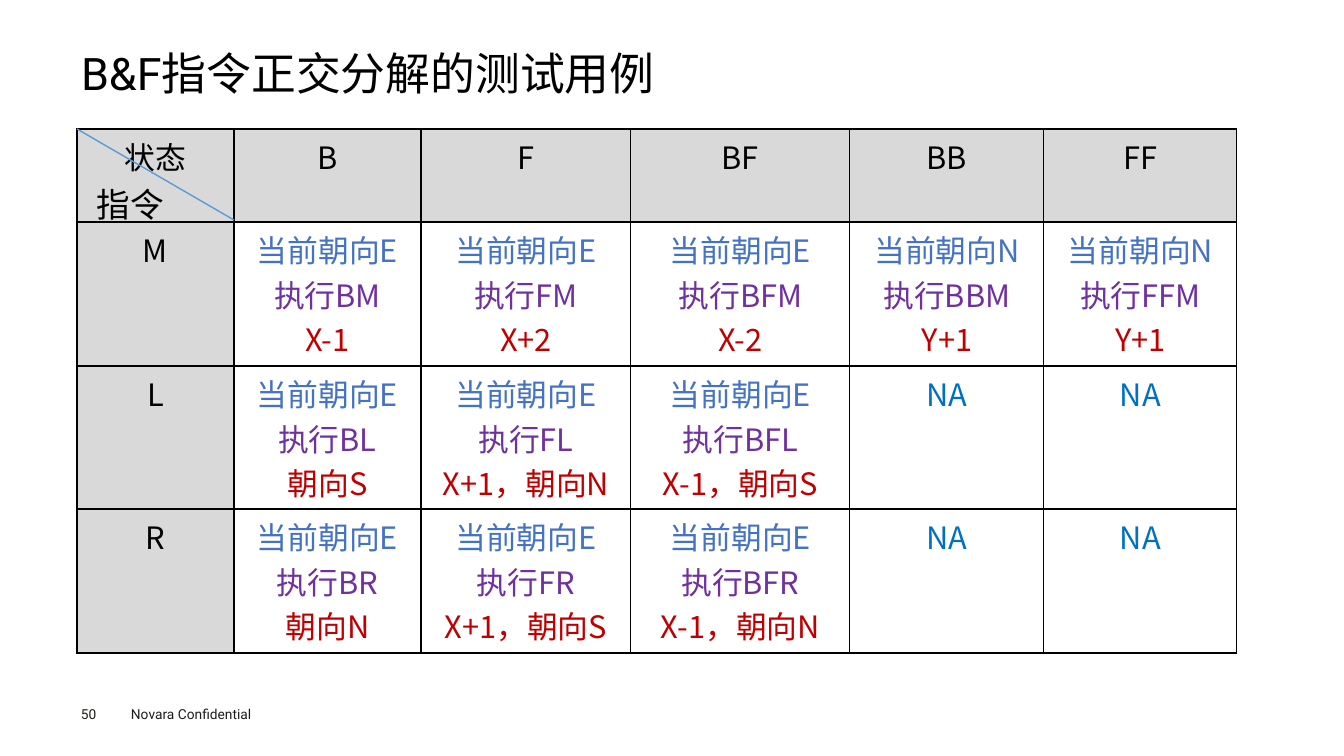
"""Builds the slide with the orthogonal B & F command test case table."""
from lxml.etree import SubElement
from pptx import Presentation
from pptx.dml.color import RGBColor
from pptx.enum.shapes import MSO_CONNECTOR as CONN
from pptx.enum.text import MSO_ANCHOR as ANCHOR, PP_ALIGN as ALIGN
from pptx.oxml import parse_xml
from pptx.oxml.ns import nsdecls, qn
from pptx.util import Emu, Pt

TITLE = "B&F指令正交分解的测试用例"
CORNER = "指令"
HEADERS = ["状态", "B", "F", "BF", "BB", "FF"]
FACINGS = ["E", "E", "E", "N", "N"]
RESULTS = {
    "M": ["X-1", "X+2", "X-2", "Y+1", "Y+1"],
    "L": ["朝向S", "X+1，朝向N", "X-1，朝向S", None, None],
    "R": ["朝向N", "X+1，朝向S", "X-1，朝向N", None, None],
}
COLORS = {
    "black": "000000", "footer": "1D1D1B", "head": "D9D9D9", "line": "5B9BD5",
    "facing": "4472C4", "action": "7030A0", "result": "C00000", "na": "0070C0",
}
SANS, LATIN = "Noto Sans CJK SC", "Roboto"
PX = 9071
TABLE_X, TABLE_Y = 77, 129
COLS = [157, 187, 210, 219, 194, 193]
ROWS = [93, 144, 143, 144]


def px(*lengths):
    return [Emu(n * PX) for n in lengths]


def rgb(name):
    return RGBColor.from_string(COLORS[name])


def style(p, size, color, font, align=ALIGN.LEFT):
    p.alignment = align
    p.font.size = Pt(size)
    p.font.name = font
    p.font.color.rgb = rgb(color)
    SubElement(p.font._rPr, qn("a:ea")).set("typeface", SANS)


def add_text(slide, box, text, size, color, font, inset=True, anchor=ANCHOR.TOP):
    tf = slide.shapes.add_textbox(*px(*box)).text_frame
    tf.word_wrap = True
    tf.vertical_anchor = anchor
    if not inset:
        tf.margin_left = tf.margin_right = tf.margin_top = tf.margin_bottom = 0
    p = tf.paragraphs[0]
    p.text = text
    style(p, size, color, font)
    return p


def fill_cell(cell, lines, head):
    tf = cell.text_frame
    for i, (text, color) in enumerate(lines):
        p = tf.add_paragraph() if i else tf.paragraphs[0]
        p.text = text
        style(p, 22, color, SANS, ALIGN.CENTER)
    if head:
        cell.fill.solid()
        cell.fill.fore_color.rgb = rgb("head")
    else:
        cell.fill.background()
    for i, side in enumerate("LRTB"):
        cell._tc.get_or_add_tcPr().insert(i, parse_xml(
            f'<a:ln{side} {nsdecls("a")} w="12700"><a:solidFill>'
            f'<a:srgbClr val="{COLORS["black"]}"/></a:solidFill></a:ln{side}>'))


def case_lines(state, facing, command, result):
    if result is None:
        return [("NA", "na")]
    return [(f"当前朝向{facing}", "facing"), (f"执行{state}{command}", "action"),
            (result, "result")]


def add_cases(slide):
    grid = [[[(h, "black")] for h in HEADERS]]
    for command, results in RESULTS.items():
        cases = zip(HEADERS[1:], FACINGS, results)
        grid.append([[(command, "black")]]
                    + [case_lines(s, f, command, r) for s, f, r in cases])
    frame = slide.shapes.add_table(len(ROWS), len(COLS), *px(
        TABLE_X, TABLE_Y, sum(COLS), sum(ROWS)))
    table = frame.table
    for col, width in zip(table.columns, px(*COLS)):
        col.width = width
    for row, height in zip(table.rows, px(*ROWS)):
        row.height = height
    for r, row in enumerate(grid):
        for c, lines in enumerate(row):
            fill_cell(table.cell(r, c), lines, r == 0 or c == 0)


def main():
    prs = Presentation()
    prs.slide_width, prs.slide_height = px(1344, 756)
    slide = prs.slides.add_slide(prs.slide_layouts[6])

    add_text(slide, (121, 701, 161, 27), "Novara Confidential", 9.8, "footer", LATIN)
    add_text(slide, (81, 706, 55, 16), "50", 9.8, "footer", LATIN, inset=False)
    title = add_text(slide, (81, 49, 1182, 54), TITLE, 32, "black", LATIN,
                     inset=False, anchor=ANCHOR.MIDDLE)
    title.line_spacing = 0.9

    add_cases(slide)
    line = slide.shapes.add_connector(CONN.STRAIGHT, *px(
        TABLE_X, TABLE_Y, TABLE_X + COLS[0], TABLE_Y + 91))
    line.line.color.rgb = rgb("line")
    line.line.width = Pt(1)
    SubElement(line._element.spPr, qn("a:effectLst"))
    add_text(slide, (87, 179, 108, 50), CORNER, 24, "black", SANS)
    prs.save("out.pptx")


if __name__ == "__main__":
    main()
